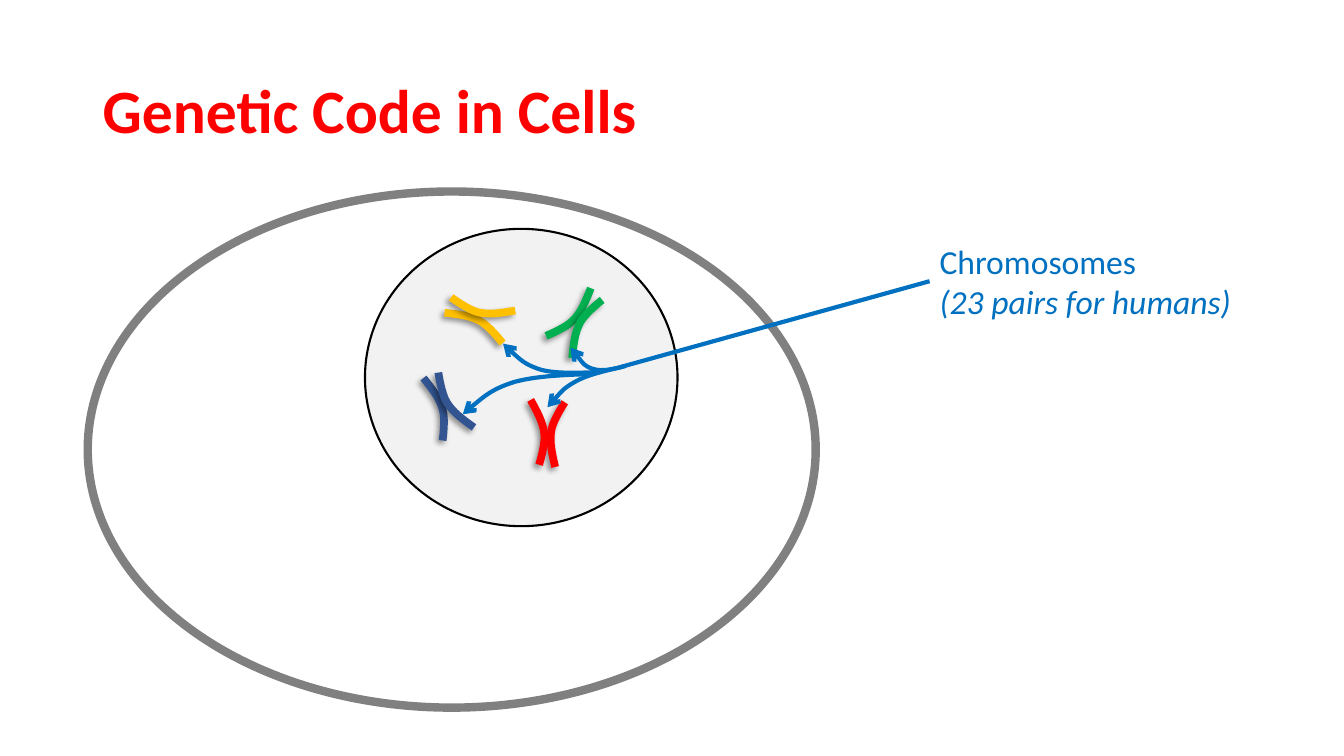
import math
from dataclasses import dataclass

from lxml import etree
from pptx import Presentation
from pptx.dml.color import RGBColor
from pptx.enum import shapes, text
from pptx.oxml import ns
from pptx.util import Inches, Pt


@dataclass(frozen=True)
class Theme:
    font: str = "Calibri"
    title_size: int = 44
    label_size: int = 24
    red: str = "FF0000"
    accent: str = "0070C0"
    membrane: str = "808080"
    nucleus: str = "F2F2F2"
    outline: str = "000000"
    shadow: str = "000000"
    navy: str = "325491"
    gold: str = "FFC000"
    green: str = "00B050"
    arm_width: float = 5.5
    pointer_width: float = 3


THEME = Theme()

# One chromosome arm around its centre: a start, then three points per curve.
ARM = [(-0.1, -0.31), (-0.02, -0.21), (0.06, -0.11), (0.09, 0),
       (0.12, 0.1), (0.09, 0.31), (0.09, 0.31)]

# Colour, then centre x, centre y and turn in degrees of both arms.
CHROMOSOMES = [
    (THEME.navy, [(4.3, 4.06, 0), (4.52, 3.97, 164.1)]),
    (THEME.gold, [(4.7, 3.25, 314.6), (4.79, 3.02, 118.7)]),
    (THEME.green, [(5.64, 3.1, 60.2), (5.82, 3.26, 224.4)]),
    (THEME.red, [(5.55, 4.31, 205.5), (5.31, 4.29, 9.6)]),
]

POINTERS = [
    [(5.96, 3.69), (5.75, 3.7), (5.53, 3.71), (5.37, 3.67),
     (5.21, 3.62), (5.1, 3.52), (4.99, 3.41)],
    [(6.21, 3.63), (6.09, 3.66), (5.97, 3.69), (5.88, 3.66),
     (5.79, 3.63), (5.73, 3.54), (5.66, 3.45)],
    [(6.17, 3.64), (6, 3.68), (5.82, 3.72), (5.7, 3.79),
     (5.58, 3.86), (5.51, 3.95), (5.43, 4.04)],
    [(5.88, 3.71), (5.6, 3.72), (5.32, 3.73), (5.1, 3.79),
     (4.88, 3.86), (4.74, 3.98), (4.59, 4.11)],
]


def set_line(shape, color, width):
    shape.line.color.rgb = RGBColor.from_string(color)
    shape.line.width = Pt(width)


def add_text(page, left, top, width, height, lines, size, color):
    """Add a text box; each line is its wording and whether it is italic."""
    box = page.shapes.add_textbox(
        Inches(left), Inches(top), Inches(width), Inches(height))
    frame = box.text_frame
    for index, (wording, italic) in enumerate(lines):
        para = frame.paragraphs[0] if index == 0 else frame.add_paragraph()
        para.text = wording
        para.font.name = THEME.font
        para.font.size = Pt(size)
        para.font.italic = italic
        para.font.color.rgb = RGBColor.from_string(color)
    return frame


def add_title(page, wording):
    frame = add_text(page, 0.92, 0.4, 11.5, 1.45, [(wording, False)],
                     THEME.title_size, THEME.red)
    frame.word_wrap = True
    frame.vertical_anchor = text.MSO_ANCHOR.MIDDLE
    frame.paragraphs[0].font.bold = True
    frame.paragraphs[0].line_spacing = 0.9


def add_label(page, lines):
    frame = add_text(page, 9.22, 2.34, 3.2, 0.91, lines,
                     THEME.label_size, THEME.accent)
    frame.word_wrap = False
    frame.auto_size = text.MSO_AUTO_SIZE.SHAPE_TO_FIT_TEXT


def add_oval(page, left, top, width, height, color, line_width, fill=None):
    oval = page.shapes.add_shape(
        shapes.MSO_SHAPE.OVAL,
        Inches(left), Inches(top), Inches(width), Inches(height))
    oval.shadow.inherit = False
    set_line(oval, color, line_width)
    if fill:
        oval.fill.solid()
        oval.fill.fore_color.rgb = RGBColor.from_string(fill)
    else:
        oval.fill.background()


def add_curve(group, points, color, width):
    """Draw an open outline whose points after the first are Bézier triples."""
    start, *rest = [(Inches(x), Inches(y)) for x, y in points]
    builder = group.shapes.build_freeform(*start)
    builder.add_line_segments(rest, close=False)
    curve = builder.convert_to_shape()
    segments = curve.element.xpath(".//a:lnTo")
    outline = segments[0].getparent()
    for first in range(0, len(segments), 3):
        bezier = etree.SubElement(outline, ns.qn("a:cubicBezTo"))
        for segment in segments[first:first + 3]:
            bezier.append(segment[0])
            outline.remove(segment)
    curve.fill.background()
    curve.shadow.inherit = False
    set_line(curve, color, width)
    return curve


def add_shadow(shape):
    effects = shape.element.spPr.find(ns.qn("a:effectLst"))
    shadow = etree.SubElement(
        effects, ns.qn("a:outerShdw"), blurRad=str(Pt(4)), dist=str(Pt(3)),
        dir=str(135 * 60000), algn="tr", rotWithShape="0")
    color = etree.SubElement(shadow, ns.qn("a:srgbClr"), val=THEME.shadow)
    etree.SubElement(color, ns.qn("a:alpha"), val="40000")


def place_arm(center_x, center_y, degrees):
    cos, sin = math.cos(math.radians(degrees)), math.sin(math.radians(degrees))
    return [(center_x + x * cos - y * sin, center_y + x * sin + y * cos)
            for x, y in ARM]


def add_chromosome(page, color, arms):
    group = page.shapes.add_group_shape()
    for arm in arms:
        add_shadow(add_curve(group, place_arm(*arm), color, THEME.arm_width))


def add_pointers(page):
    """Draw the leader line from the label and its four curved arrows."""
    group = page.shapes.add_group_shape()
    leader = group.shapes.add_connector(
        shapes.MSO_CONNECTOR.STRAIGHT,
        Inches(6.16), Inches(3.64), Inches(9.22), Inches(2.79))
    set_line(leader, THEME.accent, THEME.pointer_width)
    etree.SubElement(leader.element.spPr, ns.qn("a:effectLst"))
    for points in POINTERS:
        arrow = add_curve(group, points, THEME.accent, THEME.pointer_width)
        line = arrow.element.spPr.find(ns.qn("a:ln"))
        etree.SubElement(line, ns.qn("a:tailEnd"), type="arrow")


def main():
    deck = Presentation()
    deck.slide_width, deck.slide_height = Inches(13.33), Inches(7.5)
    page = deck.slides.add_slide(deck.slide_layouts[6])
    add_title(page, "Genetic Code in Cells")
    add_oval(page, 0.87, 1.9, 7.22, 5.12, THEME.membrane, 6)
    add_oval(page, 3.62, 2.27, 3.1, 2.95, THEME.outline, 1.5, THEME.nucleus)
    for color, arms in CHROMOSOMES:
        add_chromosome(page, color, arms)
    add_label(page, [("Chromosomes", False), ("(23 pairs for humans)", True)])
    add_pointers(page)
    deck.save("out.pptx")


if __name__ == "__main__":
    main()
